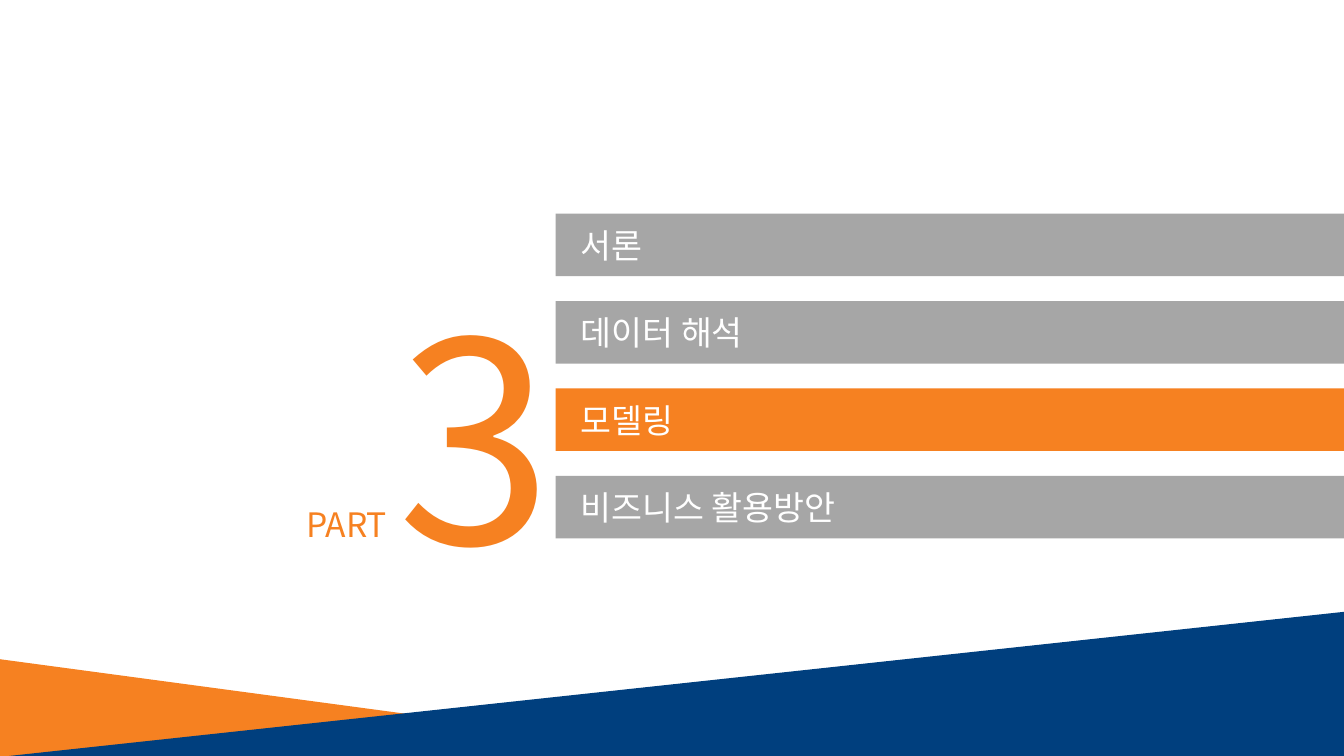
from lxml.etree import SubElement
from pptx import Presentation
from pptx.dml.color import RGBColor
from pptx.enum.shapes import MSO_SHAPE
from pptx.enum.text import MSO_ANCHOR, PP_ALIGN
from pptx.oxml.ns import qn
from pptx.util import Inches, Pt

WIDE, HIGH = 13.33, 7.5
FACE = "Noto Sans CJK KR"
ORANGE, NAVY, GRAY, WHITE = "F68121", "003F7E", "A6A6A6", "FFFFFF"

PARTS = ["서론", "데이터 해석", "모델링", "비즈니스 활용방안"]
ACTIVE = 3
WEDGES = [(0, 7.14, 0.96, 0, ORANGE), (0.09, 13.24, 1.43, 1, NAVY)]
LABELS = [(str(ACTIVE), 200, (3.84, 2.57, 1.49, 3.47)),
          ("PART", 24, (2.94, 4.95, 1.34, 0.5))]
LEFT, TOP, TALL, STEP = 5.51, 2.12, 0.62, 0.867
BAR = {"margin_left": Inches(0.25), "vertical_anchor": MSO_ANCHOR.MIDDLE,
       "word_wrap": True}
LABEL = {"word_wrap": True}


def color(code):
    return RGBColor.from_string(code)


def block(slide, kind, box, tint):
    shape = slide.shapes.add_shape(kind, *map(Inches, box))
    shape.shadow.inherit = False
    shape.fill.solid()
    shape.fill.fore_color.rgb = color(tint)
    shape.line.fill.background()
    return shape


def write(shape, text, size, tint, style):
    frame = shape.text_frame
    for name, value in style.items():
        setattr(frame, name, value)
    line = frame.paragraphs[0]
    line.alignment = PP_ALIGN.LEFT
    run = line.add_run()
    run.text = text
    for name, value in {"size": Pt(size), "name": FACE}.items():
        setattr(run.font, name, value)
    run.font.color.rgb = color(tint)
    SubElement(run._r.get_or_add_rPr(), qn("a:ea"), typeface=FACE)


def main():
    deck = Presentation()
    deck.slide_width, deck.slide_height = Inches(WIDE), Inches(HIGH)
    slide = deck.slides.add_slide(deck.slide_layouts[6])

    for left, width, height, apex, tint in WEDGES:
        box = (left, HIGH - height, width, height)
        wedge = block(slide, MSO_SHAPE.ISOSCELES_TRIANGLE, box, tint)
        wedge.adjustments[0] = apex

    for row, text in enumerate(PARTS):
        box = (LEFT, TOP + row * STEP, WIDE - LEFT, TALL)
        tint = ORANGE if row + 1 == ACTIVE else GRAY
        bar = block(slide, MSO_SHAPE.RECTANGLE, box, tint)
        write(bar, text, 24, WHITE, BAR)

    for text, size, box in LABELS:
        label = slide.shapes.add_textbox(*map(Inches, box))
        write(label, text, size, ORANGE, LABEL)

    deck.save("out.pptx")


if __name__ == "__main__":
    main()
